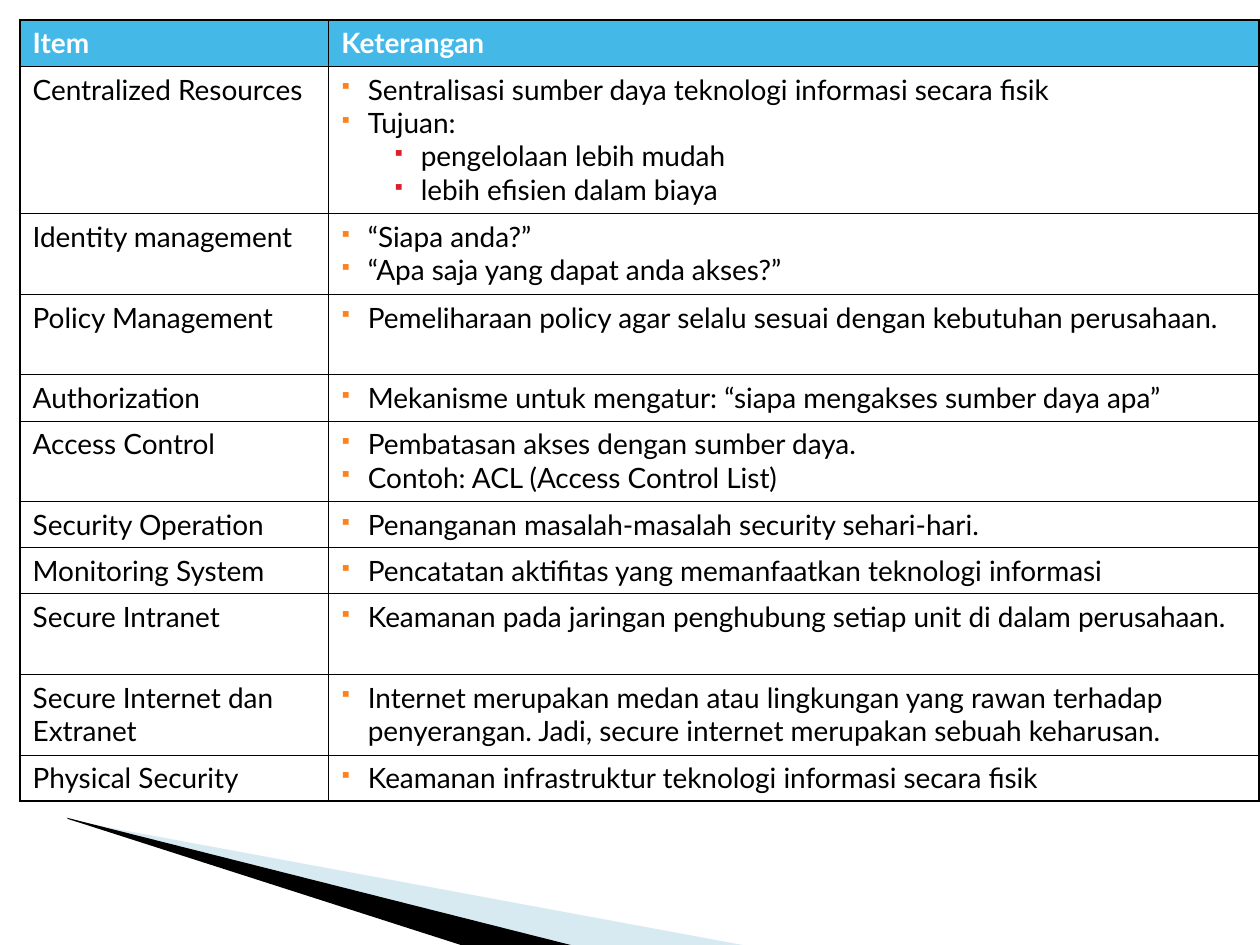
from lxml.etree import SubElement
from pptx import Presentation
from pptx.dml.color import RGBColor as Color
from pptx.oxml.ns import qn
from pptx.util import Inches, Pt

THEME = {
    "font": "Lato", "size": Pt(16), "text": "000000", "header_text": "FFFFFF",
    "header_fill": "44B9E8", "border": "000000",
    "bullets": ["FF8119", "DA1F28"], "bullet_font": "Wingdings",
    "wing_light": "9FCBDC", "wing_dark": "000000",
}
THIN, THICK = Pt(0.45), Pt(1.08)
# Row heights in inches; a single line of text stretches its row to fit.
SINGLE, DOUBLE, QUADRUPLE = 0.36, 0.64, 1.17

# Each row: item, height, then (bullet level, text) pairs.
ROWS = [
    ("Centralized Resources", QUADRUPLE, [
        (0, "Sentralisasi sumber daya teknologi informasi secara fisik"),
        (0, "Tujuan:"),
        (1, "pengelolaan lebih mudah"),
        (1, "lebih efisien dalam biaya")]),
    ("Identity management", DOUBLE, [
        (0, "“Siapa anda?”"),
        (0, "“Apa saja yang dapat anda akses?”")]),
    ("Policy Management", DOUBLE, [
        (0, "Pemeliharaan policy agar selalu sesuai dengan kebutuhan perusahaan.")]),
    ("Authorization", SINGLE, [
        (0, "Mekanisme untuk mengatur: “siapa mengakses sumber daya apa”")]),
    ("Access Control", DOUBLE, [
        (0, "Pembatasan akses dengan sumber daya."),
        (0, "Contoh: ACL (Access Control List)")]),
    ("Security Operation", SINGLE, [
        (0, "Penanganan masalah-masalah security sehari-hari.")]),
    ("Monitoring System", SINGLE, [
        (0, "Pencatatan aktifitas yang memanfaatkan teknologi informasi")]),
    ("Secure Intranet", DOUBLE, [
        (0, "Keamanan pada jaringan penghubung setiap unit di dalam perusahaan.")]),
    ("Secure Internet dan Extranet", DOUBLE, [
        (0, "Internet merupakan medan atau lingkungan yang rawan terhadap "
            "penyerangan. Jadi, secure internet merupakan sebuah keharusan.")]),
    ("Physical Security", SINGLE, [
        (0, "Keamanan infrastruktur teknologi informasi secara fisik")]),
]


def write_cell(cell, lines, color, bold=False):
    """Fill a cell with (level, text) lines; a level of None has no bullet."""
    for index, (level, text) in enumerate(lines):
        frame = cell.text_frame
        para = frame.add_paragraph() if index else frame.paragraphs[0]
        span = para.add_run()
        span.text = text
        for name, value in {"name": THEME["font"], "size": THEME["size"], "bold": bold}.items():
            setattr(span.font, name, value)
        span.font.color.rgb = Color.from_string(color)
        if level is None:
            para.space_before = Pt(4)
            continue
        para.level = level
        para.space_before = Pt(0)
        props = para._p.get_or_add_pPr()
        props.set("marL", str(Inches(0.21 + 0.42 * level)))
        props.set("indent", str(Inches(-0.21)))
        bullet_color = SubElement(props, qn("a:buClr"))
        SubElement(bullet_color, qn("a:srgbClr"), val=THEME["bullets"][level])
        SubElement(props, qn("a:buSzPct"), val="70000")
        SubElement(props, qn("a:buFont"), typeface=THEME["bullet_font"], charset="2")
        SubElement(props, qn("a:buChar"), char="§")  # a square in the bullet font


def set_borders(cell, widths):
    """Draw the left, right, top and bottom borders in the given widths."""
    props = cell._tc.get_or_add_tcPr()
    for index, (side, width) in enumerate(zip("LRTB", widths)):
        line = SubElement(props, qn(f"a:ln{side}"), w=str(width))
        fill = SubElement(line, qn("a:solidFill"))
        SubElement(fill, qn("a:srgbClr"), val=THEME["border"])
        props.insert(index, line)  # borders come before the cell fill


deck = Presentation()
deck.slide_width, deck.slide_height = Inches(10), Inches(7.5)
page = deck.slides.add_slide(deck.slide_layouts[6])

# Wings in the bottom corner: colour, opacity, frame, outline.
# The outlines reach beyond their frames.
wings = [
    (THEME["wing_light"], 40, (0.78, 5.47, 4.16, 1.58),
     [(0.55, 6.51), (5.95, 7.51), (4.56, 7.51), (0.55, 6.5)]),
    (THEME["wing_dark"], 100, (-0.06, 6.33, 4.16, 0.92),
     [(0.53, 6.49), (4.57, 7.51), (3.72, 7.52), (0.54, 6.5)]),
]
for color, opacity, frame, points in wings:
    left, top, width, height = [Inches(value) for value in frame]
    corners = [(Inches(x), Inches(y)) for x, y in points]
    builder = page.shapes.build_freeform(*corners[0])
    builder.add_line_segments(corners[1:])
    wing = builder.convert_to_shape()
    wing.left, wing.top, wing.width, wing.height = left, top, width, height
    outline = next(wing._element.iter(qn("a:path")))
    outline.set("w", str(width))
    outline.set("h", str(height))
    for point, (x, y) in zip(outline.iter(qn("a:pt")), corners):
        point.set("x", str(x - left))
        point.set("y", str(y - top))
    wing.shadow.inherit = False
    wing.line.fill.background()
    wing.fill.solid()
    wing.fill.fore_color.rgb = Color.from_string(color)
    if opacity < 100:
        tint = wing._element.spPr.find(f"{qn('a:solidFill')}/{qn('a:srgbClr')}")
        SubElement(tint, qn("a:alpha"), val=str(opacity * 1000))

# Table
heights = [SINGLE] + [height for _, height, _ in ROWS]
widths = [2.45, 7.38]
table = page.shapes.add_table(
    len(heights), len(widths), Inches(0.16), Inches(0.16),
    Inches(sum(widths)), Inches(sum(heights))).table
table.horz_banding = False
for column, width in zip(table.columns, widths):
    column.width = Inches(width)
for row, height in zip(table.rows, heights):
    row.height = Inches(height)

for cell, heading in zip(table.rows[0].cells, ["Item", "Keterangan"]):
    write_cell(cell, [(None, heading)], THEME["header_text"], bold=True)
for number, (item, _, details) in enumerate(ROWS, start=1):
    write_cell(table.cell(number, 0), [(None, item)], THEME["text"])
    write_cell(table.cell(number, 1), details, THEME["text"])

last_row, last_column = len(heights) - 1, len(widths) - 1
for r, row in enumerate(table.rows):
    for c, cell in enumerate(row.cells):
        if r == 0:
            cell.fill.solid()
            cell.fill.fore_color.rgb = Color.from_string(THEME["header_fill"])
        else:
            cell.fill.background()
        on_edge = [c == 0, c == last_column, r == 0, r == last_row]
        set_borders(cell, [THICK if edge else THIN for edge in on_edge])

deck.save("out.pptx")
